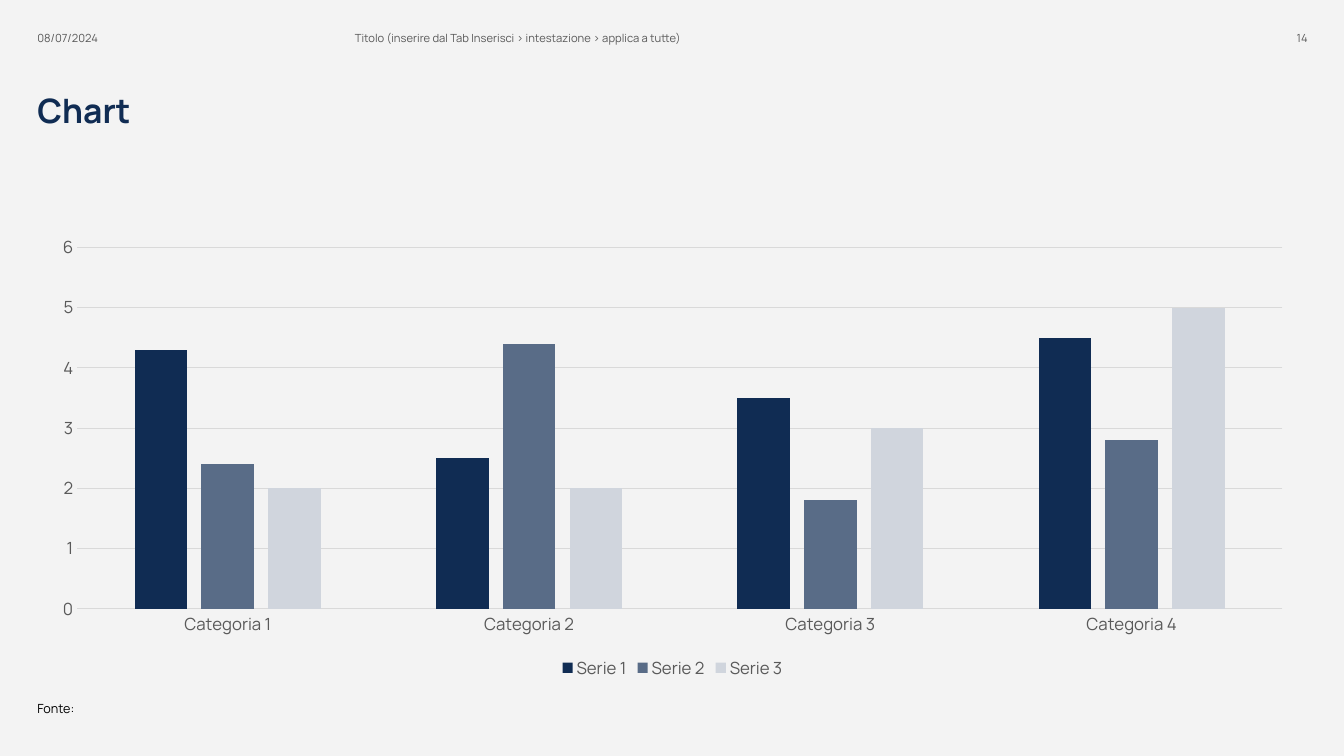
from pptx import Presentation
from pptx.chart.data import CategoryChartData
from pptx.dml.color import RGBColor
from pptx.enum.chart import XL_CHART_TYPE as ChartType, XL_LEGEND_POSITION as LegendPosition
from pptx.enum.chart import XL_TICK_MARK as TickMark
from pptx.enum.text import MSO_ANCHOR as Anchor, PP_ALIGN as Align
from pptx.util import Inches, Pt

# Content
TITLE = "Chart"
SOURCE = "Fonte:"
CATEGORIES = ["Categoria 1", "Categoria 2", "Categoria 3", "Categoria 4"]
NAVY = RGBColor(0x10, 0x2C, 0x53)
SLATE = RGBColor(0x59, 0x6C, 0x87)
MIST = RGBColor(0xD0, 0xD5, 0xDD)
SERIES = [
    ("Serie 1", (4.3, 2.5, 3.5, 4.5), NAVY),
    ("Serie 2", (2.4, 4.4, 1.8, 2.8), SLATE),
    ("Serie 3", (2, 2, 3, 5), MIST),
]

# Style and page frame, in inches
FONT = "Manrope"
BLACK = RGBColor(0, 0, 0)
GREY = RGBColor(0x59, 0x59, 0x59)
RULE = RGBColor(0xD9, 0xD9, 0xD9)
PAPER = RGBColor(0xF3, 0xF3, 0xF3)
WIDTH, HEIGHT = 13.33, 7.5
MARGIN = 0.37
BODY_WIDTH = 12.6
RIGHT = MARGIN + BODY_WIDTH
NUMBER_WIDTH = 1.14

# Header: text, left, width, alignment
HEADER = [
    ("08/07/2024", MARGIN, 2.61, Align.LEFT),
    ("Titolo (inserire dal Tab Inserisci > intestazione > applica a tutte)",
     3.52, 4.5, Align.LEFT),
    ("14", RIGHT - NUMBER_WIDTH, NUMBER_WIDTH, Align.RIGHT),
]


def style_font(font, size, color, bold=False):
    font.name, font.size, font.bold = FONT, Pt(size), bold
    font.color.rgb = color


def write(box, text, size, color, anchor=Anchor.BOTTOM, align=Align.LEFT, bold=False):
    frame = box.text_frame
    frame.word_wrap = True
    frame.vertical_anchor = anchor
    frame.margin_left = frame.margin_right = frame.margin_top = frame.margin_bottom = 0
    para = frame.paragraphs[0]
    para.alignment = align
    span = para.add_run()
    span.text = text
    style_font(span.font, size, color, bold)
    return para


def rule_line(line):
    line.color.rgb = RULE
    line.width = Pt(0.75)


deck = Presentation()
deck.slide_width, deck.slide_height = Inches(WIDTH), Inches(HEIGHT)
page = deck.slides.add_slide(deck.slide_layouts[5])
page.background.fill.solid()
page.background.fill.fore_color.rgb = PAPER

# Title
title = page.shapes.title
title.left, title.top = Inches(MARGIN), Inches(0.89)
title.width, title.height = Inches(BODY_WIDTH), Inches(0.92)
write(title, TITLE, 24, NAVY, anchor=Anchor.TOP, bold=True)

# Chart
data = CategoryChartData()
data.categories = CATEGORIES
for name, values, _ in SERIES:
    data.add_series(name, values)
chart = page.shapes.add_chart(
    ChartType.COLUMN_CLUSTERED, Inches(MARGIN), Inches(2.25),
    Inches(BODY_WIDTH), Inches(4.53), data).chart
chart.has_title = False
style_font(chart.font, 10, BLACK)

plot = chart.plots[0]
plot.gap_width, plot.overlap = 219, -27
plot.vary_by_categories = False
for series, (_, _, color) in zip(plot.series, SERIES):
    series.format.fill.solid()
    series.format.fill.fore_color.rgb = color

# Axes and legend
for axis in (chart.category_axis, chart.value_axis):
    axis.major_tick_mark = axis.minor_tick_mark = TickMark.NONE
    style_font(axis.tick_labels.font, 12, GREY)
rule_line(chart.category_axis.format.line)
value_axis = chart.value_axis
value_axis.minimum_scale, value_axis.maximum_scale, value_axis.major_unit = 0, 6, 1
value_axis.format.line.fill.background()
rule_line(value_axis.major_gridlines.format.line)
chart.has_legend = True
chart.legend.position = LegendPosition.BOTTOM
chart.legend.include_in_layout = False
style_font(chart.legend.font, 12, GREY)

# Header and source line
for text, left, width, align in HEADER:
    box = page.shapes.add_textbox(Inches(left), Inches(0.04), Inches(width), Inches(0.4))
    write(box, text, 8, GREY, align=align)
source = page.shapes.add_textbox(Inches(MARGIN), Inches(6.79), Inches(5.72), Inches(0.31))
write(source, SOURCE, 9, BLACK).line_spacing = 1.2

deck.save("out.pptx")
